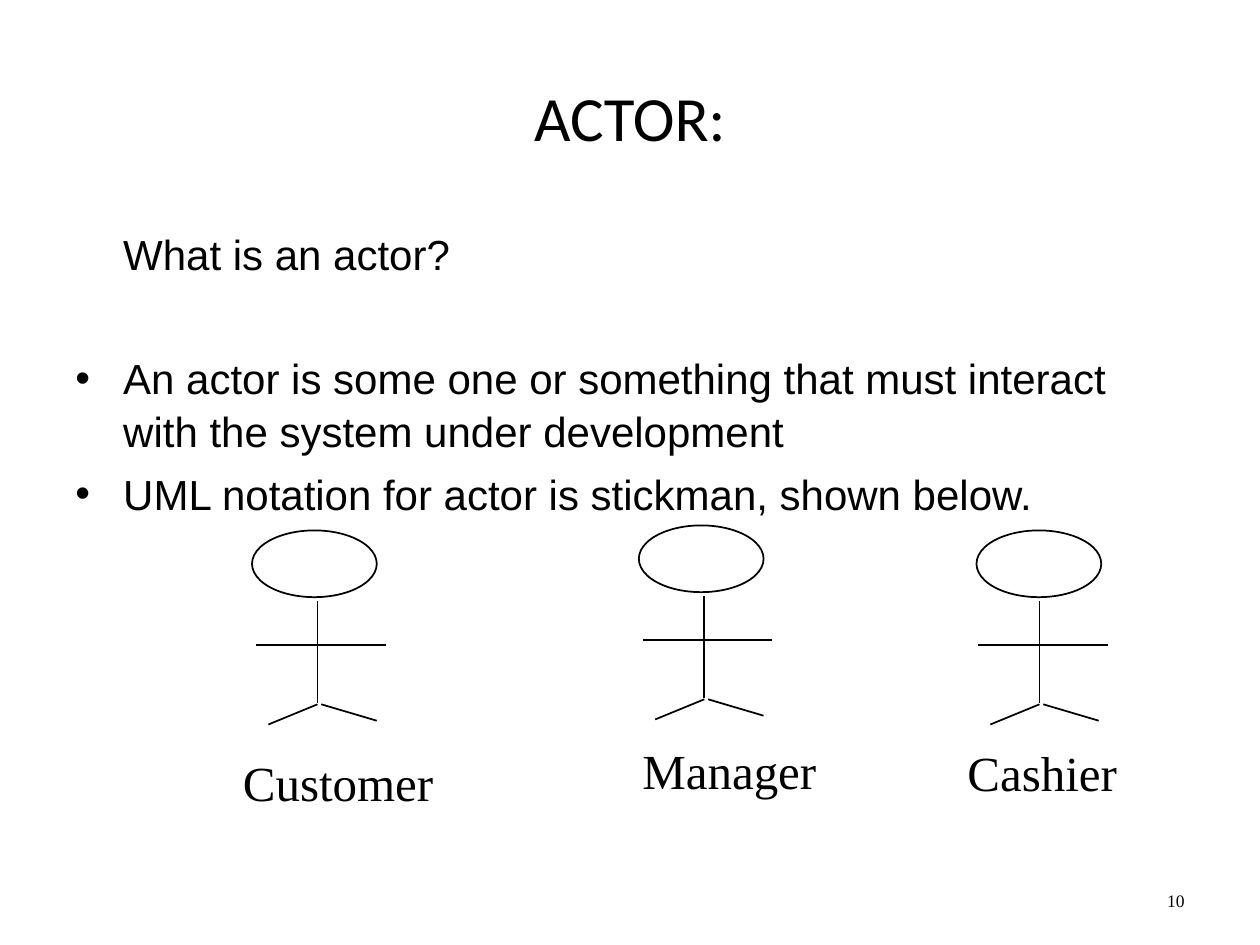
from dataclasses import dataclass

from lxml.etree import SubElement
from pptx import Presentation
from pptx.dml.color import RGBColor
from pptx.enum.shapes import MSO_CONNECTOR, MSO_SHAPE
from pptx.enum.text import MSO_ANCHOR, PP_ALIGN
from pptx.oxml.ns import qn
from pptx.util import Inches, Pt

COLUMNS, ROWS = 100, 75


@dataclass(frozen=True)
class Theme:
    ink: RGBColor = RGBColor(0, 0, 0)
    paper: RGBColor = RGBColor(255, 255, 255)
    title_font: str = "Calibri"
    body_font: str = "Arial"
    label_font: str = "Times New Roman"
    title_size: int = 36
    body_size: int = 24
    label_size: int = 28
    number_size: int = 10
    stroke: float = 1
    line_spacing: float = 1.04
    paragraph_gap: int = 6
    section_gap: int = 41
    indent: float = 0.38


# Limbs as start column, start row, end column, end row within a figure
LIMBS = (
    (5.2, 5.6, 5.2, 13.7),
    (0.3, 9.1, 10.6, 9.1),
    (5.2, 13.8, 1.3, 15.4),
    (5.5, 13.8, 9.9, 15.1),
)
HEAD_SIZE = (9.9, 5.3)


class ActorSlide:
    def __init__(self, deck, theme):
        self.theme = theme
        self.slide = deck.slides.add_slide(deck.slide_layouts[6])
        self.column = deck.slide_width / COLUMNS
        self.row = deck.slide_height / ROWS

    def place(self, *lengths):
        """Turn alternating columns and rows into slide lengths."""
        return [round(length * (self.row if i % 2 else self.column))
                for i, length in enumerate(lengths)]

    def frame(self, area, anchor=MSO_ANCHOR.TOP):
        frame = self.slide.shapes.add_textbox(*self.place(*area)).text_frame
        frame.word_wrap = True
        frame.vertical_anchor = anchor
        return frame

    def styled_run(self, paragraph, words, font, size):
        run = paragraph.add_run()
        run.text = words
        run.font.name = font
        run.font.size = Pt(size)
        run.font.color.rgb = self.theme.ink

    def text(self, words, area, font, size, align=PP_ALIGN.LEFT,
             anchor=MSO_ANCHOR.TOP):
        paragraph = self.frame(area, anchor).paragraphs[0]
        paragraph.alignment = align
        self.styled_run(paragraph, words, font, size)

    def question_with_points(self, question, points, area):
        theme = self.theme
        frame = self.frame(area)
        for i, words in enumerate((question, *points)):
            paragraph = frame.add_paragraph() if i else frame.paragraphs[0]
            paragraph.line_spacing = theme.line_spacing
            properties = paragraph._p.get_or_add_pPr()
            properties.set("marL", str(Inches(theme.indent)))
            if i:
                paragraph.space_before = Pt(
                    theme.section_gap if i == 1 else theme.paragraph_gap)
                properties.set("indent", str(-Inches(theme.indent)))
                SubElement(properties, qn("a:buFont"), typeface=theme.body_font)
                SubElement(properties, qn("a:buChar"), char="•")
            self.styled_run(paragraph, words, theme.body_font, theme.body_size)

    def outline(self, line):
        line.color.rgb = self.theme.ink
        line.width = Pt(self.theme.stroke)

    def stickman(self, left, top, head_shift=0):
        parts = self.slide.shapes.add_group_shape().shapes
        head = parts.add_shape(
            MSO_SHAPE.OVAL, *self.place(left + head_shift, top, *HEAD_SIZE))
        head.shadow.inherit = False
        head.fill.solid()
        head.fill.fore_color.rgb = self.theme.paper
        self.outline(head.line)
        for x1, y1, x2, y2 in LIMBS:
            limb = parts.add_connector(
                MSO_CONNECTOR.STRAIGHT,
                *self.place(left + x1, top + y1, left + x2, top + y2))
            self.outline(limb.line)
            SubElement(limb._element.spPr, qn("a:effectLst"))


def main():
    deck = Presentation()
    deck.slide_width, deck.slide_height = Inches(10), Inches(7.5)
    theme = Theme()
    page = ActorSlide(deck, theme)

    page.question_with_points(
        "What is an actor?",
        ("An actor is some one or something that must interact with the "
         "system under development",
         "UML notation for actor is stickman, shown below."),
        (5, 17.5, 90, 49.5))
    page.text("10", (71.7, 69.5, 23.3, 4), theme.label_font,
              theme.number_size, PP_ALIGN.RIGHT, MSO_ANCHOR.MIDDLE)
    page.text("ACTOR:", (5, 3, 90, 12.5), theme.title_font,
              theme.title_size, PP_ALIGN.CENTER, MSO_ANCHOR.MIDDLE)

    actors = (
        ("Customer", (20, 42.1), (18.3, 59.2, 18.3, 5.7)),
        ("Manager", (50.7, 41.7), (50, 58.3, 15.8, 5.7)),
        ("Cashier", (77.3, 42.1, 0.2), (75.8, 58.4, 15.8, 5.7)),
    )
    for role, figure, label_area in actors:
        page.stickman(*figure)
        page.text(role, label_area, theme.label_font, theme.label_size)

    deck.save("out.pptx")


if __name__ == "__main__":
    main()
